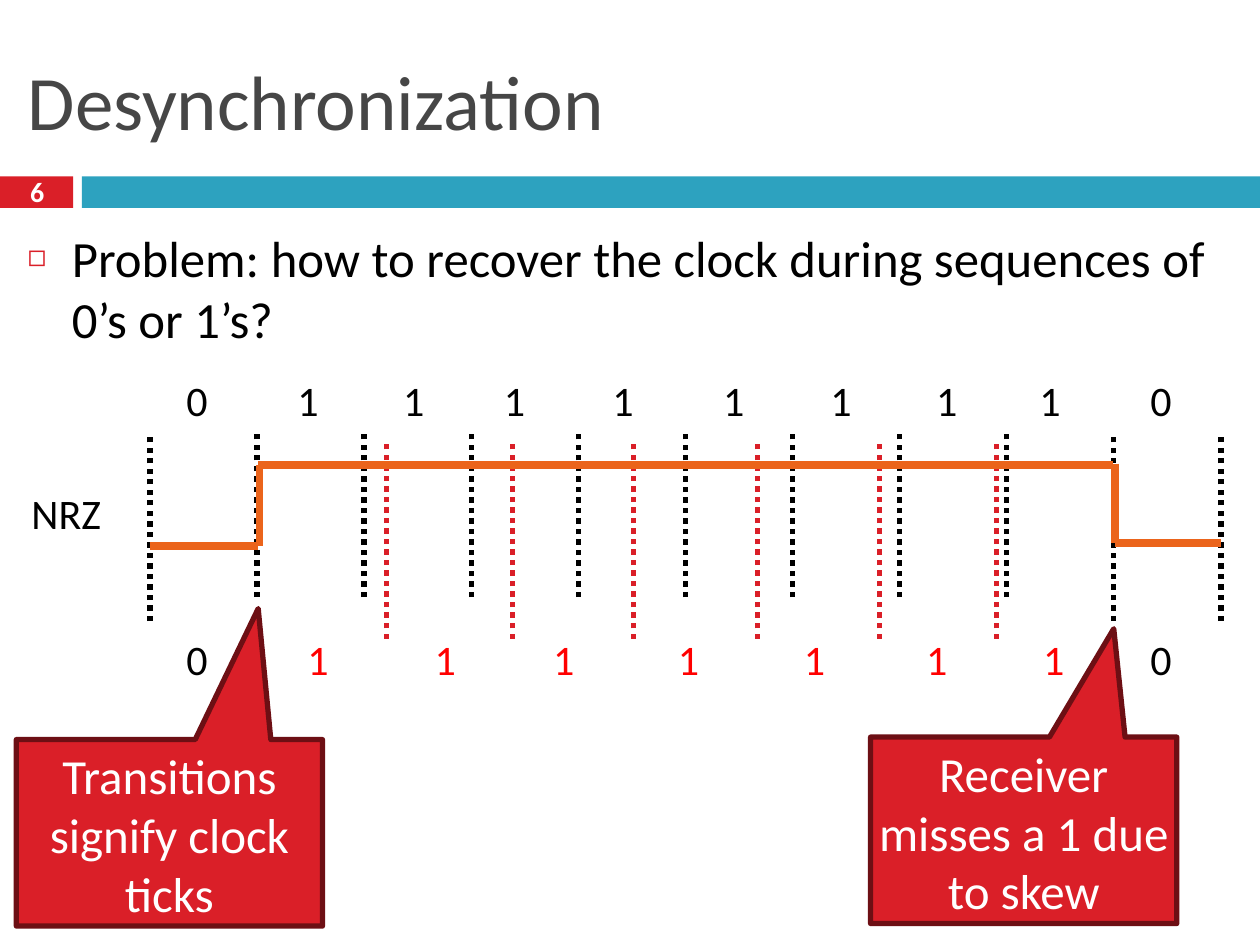
"""Build the slide on clock desynchronization in NRZ encoding."""
from lxml.etree import SubElement
from pptx import Presentation
from pptx.dml.color import RGBColor
from pptx.enum.dml import MSO_LINE
from pptx.enum.shapes import MSO_CONNECTOR, MSO_SHAPE
from pptx.enum.text import MSO_ANCHOR, MSO_AUTO_SIZE, PP_ALIGN
from pptx.oxml.ns import qn
from pptx.util import Inches, Pt

COLORS = {
    "red": "DA1F28", "bright_red": "FF0000", "dark_red": "6D0F14",
    "blue": "2DA2BF", "orange": "EB641B", "gray": "464646",
    "black": "000000", "white": "FFFFFF",
}


def rgb(name):
    return RGBColor.from_string(COLORS[name])


def write_text(frame, text, *, size=24, color="black", bold=False, wrap=True,
               align=PP_ALIGN.LEFT, anchor=MSO_ANCHOR.TOP, line_spacing=None):
    frame.auto_size = MSO_AUTO_SIZE.NONE
    frame.word_wrap = wrap
    frame.vertical_anchor = anchor
    frame.margin_left = frame.margin_right = Inches(0.05)
    frame.margin_top = frame.margin_bottom = Inches(0.05)
    para = frame.paragraphs[0]
    para.alignment = align
    para.line_spacing = line_spacing
    span = para.add_run()
    span.text = text
    span.font.name = "Calibri"
    span.font.size = Pt(size)
    span.font.bold = bold
    span.font.color.rgb = rgb(color)
    return para


class SlideBuilder:
    def __init__(self, page):
        self.page = page
        self.shapes = page.shapes

    def place(self, box, left, top, width, height):
        box.left, box.top = Inches(left), Inches(top)
        box.width, box.height = Inches(width), Inches(height)

    def title(self, text, *bounds):
        box = self.shapes.title
        self.place(box, *bounds)
        write_text(box.text_frame, text, size=44, color="gray", anchor=MSO_ANCHOR.MIDDLE)

    def bullet(self, text, *bounds):
        box = self.page.placeholders[1]
        self.place(box, *bounds)
        para = write_text(box.text_frame, text, size=29)
        para.space_before = Pt(7)
        properties = para._p.get_or_add_pPr()
        properties.set("marL", str(Inches(0.35)))
        properties.set("indent", str(-Inches(0.35)))
        bullet_color = SubElement(properties, qn("a:buClr"))
        SubElement(bullet_color, qn("a:srgbClr"), val=COLORS["red"])
        SubElement(properties, qn("a:buSzPct"), val="60000")
        SubElement(properties, qn("a:buChar"), char="◻")

    def bar(self, left, width, color):
        bar = self.shapes.add_shape(MSO_SHAPE.RECTANGLE, Inches(left), Inches(1.4),
                                    Inches(width), Inches(0.25))
        bar.shadow.inherit = False
        bar.fill.solid()
        bar.fill.fore_color.rgb = rgb(color)
        bar.line.fill.background()

    def label(self, text, left, top, width=0.3, height=0.48, **style):
        box = self.shapes.add_textbox(Inches(left), Inches(top), Inches(width), Inches(height))
        write_text(box.text_frame, text, **{"wrap": False, **style})

    def line(self, start, end, color, weight=3, dash=None):
        line = self.shapes.add_connector(
            MSO_CONNECTOR.STRAIGHT, *(Inches(value) for value in (*start, *end)))
        line.line.color.rgb = rgb(color)
        line.line.width = Pt(weight)
        if dash:
            line.line.dash_style = dash
        SubElement(line._element.spPr, qn("a:effectLst"))

    def tick(self, x, top, bottom, color):
        self.line((x, bottom), (x, top), color, dash=MSO_LINE.ROUND_DOT)

    def callout(self, text, left, top, tip):
        right, bottom = left + 2.43, top + 1.48
        outline = [(right, top), (left + 2.02, top), tip, (left + 1.42, top),
                   (left, top), (left, bottom), (right, bottom)]
        points = [(Inches(x), Inches(y)) for x, y in outline]
        builder = self.shapes.build_freeform(*points[0])
        builder.add_line_segments(points[1:], close=True)
        balloon = builder.convert_to_shape()
        balloon.shadow.inherit = False
        balloon.fill.solid()
        balloon.fill.fore_color.rgb = rgb("red")
        balloon.line.color.rgb = rgb("dark_red")
        balloon.line.width = Pt(3)
        self.label(text, left, top, 2.43, 1.39, size=28, color="white",
                   align=PP_ALIGN.CENTER, wrap=True)


def main():
    deck = Presentation()
    deck.slide_width, deck.slide_height = Inches(10), Inches(7.5)
    slide = SlideBuilder(deck.slides.add_slide(deck.slide_layouts[1]))

    slide.bar(0, 0.58, "red")
    slide.bar(0.65, 9.35, "blue")
    slide.title("Desynchronization", 0.17, 0.25, 9.67, 1.08)
    slide.label("6", 0.18, 1.37, 0.23, 0.35, size=16, color="white", bold=True,
                align=PP_ALIGN.CENTER, anchor=MSO_ANCHOR.MIDDLE, line_spacing=0.8)
    slide.bullet("Problem: how to recover the clock during sequences of 0’s or 1’s?",
                 0.17, 1.75, 9.67, 5.58)

    for x in (3.07, 4.07, 5.03, 6.01, 6.98, 7.91):
        slide.tick(x, 3.52, 5.07, "red")
    for index in range(11):
        bottom = 4.93 if index in (0, 9, 10) else 4.74
        slide.tick(1.19 + 0.85 * index, 3.43, bottom, "black")

    slide.label("NRZ", 0.2, 3.82, 0.67)
    signal = [((1.19, 4.33), (2.05, 4.33)), ((2.06, 4.33), (2.06, 3.69)),
              ((2.05, 3.69), (8.83, 3.69)), ((8.85, 3.68), (8.85, 4.31)),
              ((8.85, 4.31), (9.69, 4.31))]
    for start, end in signal:
        slide.line(start, end, "orange", weight=4.5)

    sent_ones = (2.31, 3.15, 3.95, 4.81, 5.69, 6.54, 7.38, 8.2)
    received_ones = (2.39, 3.4, 4.34, 5.33, 6.33, 7.3, 8.23)
    rows = [(2.92, sent_ones, "black"), (4.98, received_ones, "bright_red")]
    for top, ones, color in rows:
        for left in (1.43, 9.08):
            slide.label("0", left, top)
        for left in ones:
            slide.label("1", left, top, color=color)

    slide.callout("Transitions signify clock ticks", 0.13, 5.87, (2.05, 4.83))
    slide.callout("Receiver misses a 1 due to skew", 6.91, 5.85, (8.84, 4.99))
    deck.save("out.pptx")


if __name__ == "__main__":
    main()
